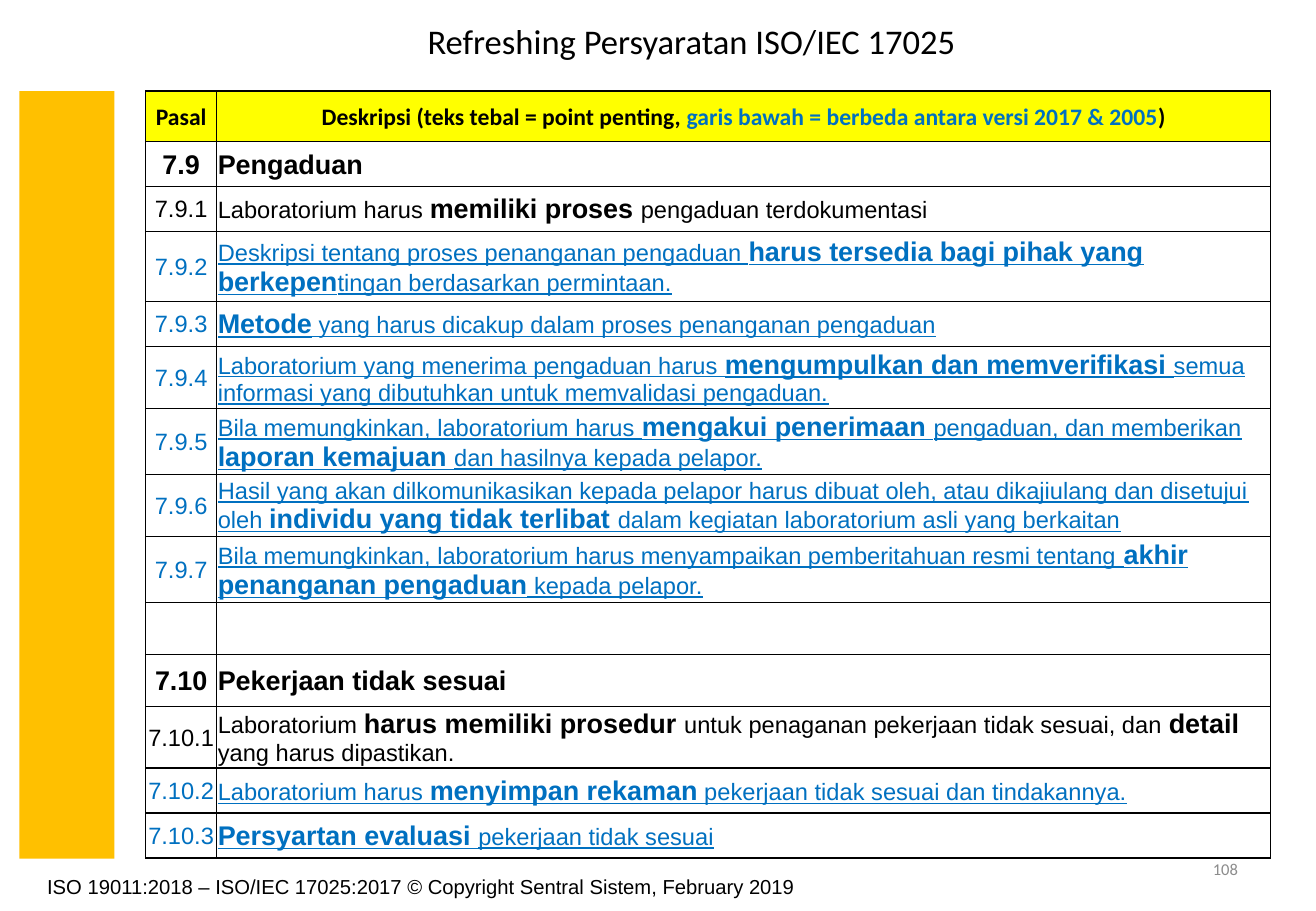
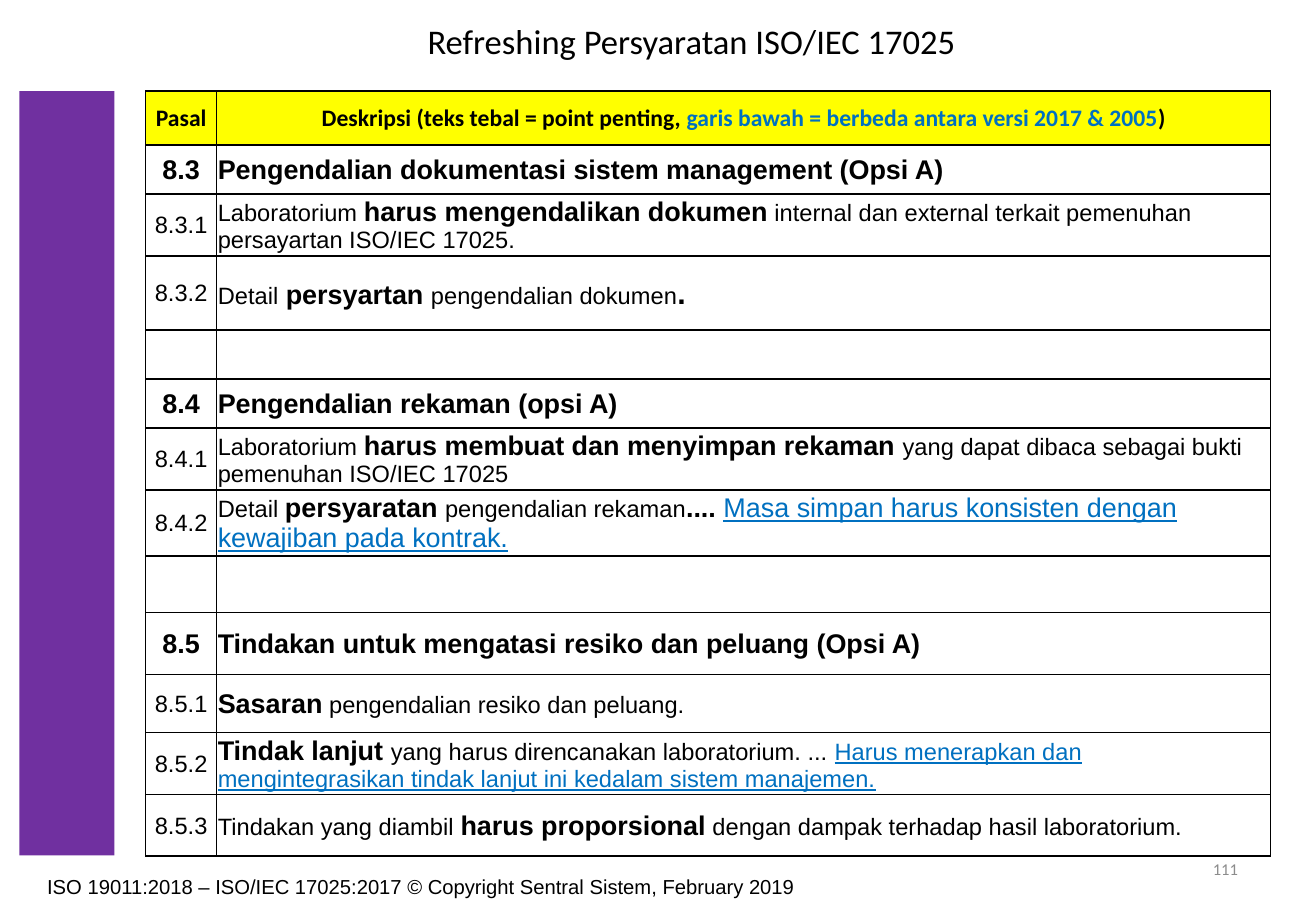
from lxml.etree import SubElement
from pptx import Presentation
from pptx.dml.color import RGBColor
from pptx.enum.shapes import MSO_SHAPE as Shape
from pptx.enum.text import MSO_ANCHOR as Anchor, MSO_AUTO_SIZE as AutoSize, PP_ALIGN as Align
from pptx.oxml.ns import qn
from pptx.util import Pt

COLORS = {
    "text": "000000",
    "new": "0070C0",
    "header": "FFFF00",
    "number": "8C8C8C",
    "amber": "FFC000",
    "purple": "7030A0",
}
TITLE = "Refreshing Persyaratan ISO/IEC 17025"
FOOTER = "ISO 19011:2018 – ISO/IEC 17025:2017 © Copyright Sentral Sistem, February 2019"
HEADER = ("Pasal", "Deskripsi (teks tebal = point penting, _garis bawah = berbeda antara versi 2017 & 2005_)")
TABLE_LEFT, TABLE_TOP = 86.4, 54
COLUMN_WIDTHS = (42, 624.7)
IMPORTANT, NEW, LARGER = "*_^"

COMPLAINTS = [
    (26.6, "7.9", "*Pengaduan*"),
    (26.6, "7.9.1", "Laboratorium harus *memiliki proses *pengaduan terdokumentasi"),
    (41.6, "7.9.2", "_Deskripsi tentang proses penanganan pengaduan *harus tersedia bagi pihak yang berkepen*tingan berdasarkan permintaan._"),
    (26.6, "7.9.3", "_*Metode* yang harus dicakup dalam proses penanganan pengaduan_"),
    (36.4, "7.9.4", "_Laboratorium yang menerima pengaduan harus *mengumpulkan dan memverifikasi *semua informasi yang dibutuhkan untuk memvalidasi pengaduan._"),
    (38.8, "7.9.5", "_Bila memungkinkan, laboratorium harus *mengakui penerimaan *pengaduan, dan memberikan *laporan kemajuan *dan hasilnya kepada pelapor._"),
    (36.4, "7.9.6", "_Hasil yang akan dilkomunikasikan kepada pelapor harus dibuat oleh, atau dikajiulang dan disetujui oleh *individu yang tidak terlibat *dalam kegiatan laboratorium asli yang berkaitan_"),
    (38.8, "7.9.7", "_Bila memungkinkan, laboratorium harus menyampaikan pemberitahuan resmi tentang *akhir penanganan pengaduan* kepada pelapor._"),
    (30.8, "", ""),
    (30.8, "7.10", "*Pekerjaan tidak sesuai*"),
    (36.4, "7.10.1", "Laboratorium *harus memiliki prosedur *untuk penaganan pekerjaan tidak sesuai, dan *detail *yang harus dipastikan."),
    (26.6, "7.10.2", "_Laboratorium harus *menyimpan rekaman* pekerjaan tidak sesuai dan tindakannya._"),
    (26.6, "7.10.3", "_*Persyartan evaluasi *pekerjaan tidak sesuai_"),
]
MANAGEMENT = [
    (29, "8.3", "*Pengendalian dokumentasi sistem management (Opsi A)*"),
    (36.6, "8.3.1", "Laboratorium *harus mengendalikan dokumen* internal dan external terkait pemenuhan persayartan ISO/IEC 17025."),
    (44, "8.3.2", "Detail^ ^*persyartan *pengendalian dokumen*^.^*"),
    (29, "", ""),
    (29, "8.4", "*Pengendalian rekaman (opsi A)*"),
    (36.6, "8.4.1", "Laboratorium *harus membuat dan menyimpan rekaman *yang dapat dibaca sebagai bukti pemenuhan ISO/IEC 17025"),
    (39, "8.4.2", "Detail *persyaratan *pengendalian rekaman*.... *_^Masa simpan harus konsisten dengan kewajiban pada kontrak.^_"),
    (33.6, "", ""),
    (36.6, "8.5", "*Tindakan untuk mengatasi resiko dan peluang (Opsi A)*"),
    (34.6, "8.5.1", "*Sasaran* pengendalian resiko dan peluang."),
    (36.6, "8.5.2", "*Tindak lanjut *yang harus direncanakan laboratorium. ... _Harus menerapkan dan mengintegrasikan tindak lanjut ini kedalam sistem manajemen._"),
    (36.4, "8.5.3", "Tindakan yang diambil *harus proporsional* dengan dampak terhadap hasil laboratorium."),
]


def rgb(name):
    return RGBColor.from_string(COLORS[name])


def split_marks(text):
    active, chunk = set(), ""
    for character in text:
        if character in (IMPORTANT, NEW, LARGER):
            if chunk:
                yield chunk, set(active)
            active ^= {character}
            chunk = ""
        else:
            chunk += character
    if chunk:
        yield chunk, active


class Deck:
    def __init__(self):
        self.presentation = Presentation()
        self.presentation.slide_width = Pt(780)
        self.presentation.slide_height = Pt(540)
        self.slide = None

    def style(self, run, size, color="text", font="Arial", bold=False, underline=False):
        run.font.name, run.font.size = font, Pt(size)
        run.font.bold, run.font.underline = bold, underline
        run.font.color.rgb = rgb(color)

    def add_slide(self):
        self.slide = self.presentation.slides.add_slide(self.presentation.slide_layouts[5])

    def title(self, text):
        shape = self.slide.shapes.title
        shape.left, shape.top, shape.width, shape.height = Pt(246.2), Pt(10.8), Pt(376.6), Pt(30.2)
        frame = shape.text_frame
        frame.text = text
        frame.auto_size, frame.vertical_anchor = AutoSize.NONE, Anchor.MIDDLE
        paragraph = frame.paragraphs[0]
        paragraph.alignment, paragraph.line_spacing = Align.LEFT, 0.9
        self.style(paragraph.runs[0], 20.5, font="Calibri")

    def text(self, text, box, size, alignment=Align.LEFT, anchor=Anchor.TOP, **look):
        frame = self.slide.shapes.add_textbox(*map(Pt, box)).text_frame
        frame.text = text
        frame.word_wrap, frame.vertical_anchor = True, anchor
        paragraph = frame.paragraphs[0]
        paragraph.alignment = alignment
        self.style(paragraph.runs[0], size, **look)

    def band(self, color, height):
        shape = self.slide.shapes.add_shape(Shape.RECTANGLE, Pt(11.5), Pt(TABLE_TOP), Pt(56.4), Pt(height))
        shape.shadow.inherit = False
        shape.fill.solid()
        shape.fill.fore_color.rgb = rgb(color)
        shape.line.fill.background()

    def borders(self, cell):
        properties = cell._tc.get_or_add_tcPr()
        for side in ("a:lnL", "a:lnR", "a:lnT", "a:lnB"):
            line = SubElement(properties, qn(side), w=str(Pt(1)))
            SubElement(SubElement(line, qn("a:solidFill")), qn("a:srgbClr"), val=COLORS["text"])

    def cell(self, cell, text, centered, header=False, bold=False):
        cell.margin_left = cell.margin_right = cell.margin_top = Pt(0.72)
        cell.margin_bottom = Pt(0)
        cell.vertical_anchor = Anchor.MIDDLE
        self.borders(cell)
        if header:
            cell.fill.solid()
            cell.fill.fore_color.rgb = rgb("header")
        else:
            cell.fill.background()
        paragraph = cell.text_frame.paragraphs[0]
        paragraph.alignment = Align.CENTER if centered else Align.LEFT
        for chunk, marks in split_marks(text):
            run = paragraph.add_run()
            run.text = chunk
            color = "new" if NEW in marks else "text"
            if header:
                self.style(run, 14, color, "Calibri", bold=True)
            else:
                strong = bold or IMPORTANT in marks
                size = 14 + 2 * strong + 2 * (LARGER in marks)
                self.style(run, size, color, bold=strong, underline=NEW in marks and not centered)

    def table(self, header_height, clauses):
        rows = [(header_height, *HEADER), *clauses]
        height = sum(row[0] for row in rows)
        box = (TABLE_LEFT, TABLE_TOP, sum(COLUMN_WIDTHS), height)
        table = self.slide.shapes.add_table(len(rows), 2, *map(Pt, box)).table
        table.first_row = table.horz_banding = False
        for column, width in zip(table.columns, COLUMN_WIDTHS):
            column.width = Pt(width)
        for index, (row_height, number, description) in enumerate(rows):
            table.rows[index].height = Pt(row_height)
            header = index == 0
            if description.startswith(NEW):
                number = f"{NEW}{number}{NEW}"
            self.cell(table.cell(index, 0), number, True, header, number.count(".") == 1)
            self.cell(table.cell(index, 1), description, header, header)

    def requirements(self, page, color, band_height, header_height, clauses):
        self.add_slide()
        self.text(FOOTER, (20.9, 514.8, 468, 28.8), 12)
        self.table(header_height, clauses)
        self.text(page, (558.7, 500.4, 182.2, 28.8), 9.8, Align.RIGHT, Anchor.MIDDLE,
                  color="number", font="Calibri")
        self.title(TITLE)
        self.band(color, band_height)


def main():
    deck = Deck()
    deck.requirements("108", "amber", 455, 30, COMPLAINTS)
    deck.requirements("111", "purple", 453, 31.9, MANAGEMENT)
    deck.presentation.save("out.pptx")


if __name__ == "__main__":
    main()
